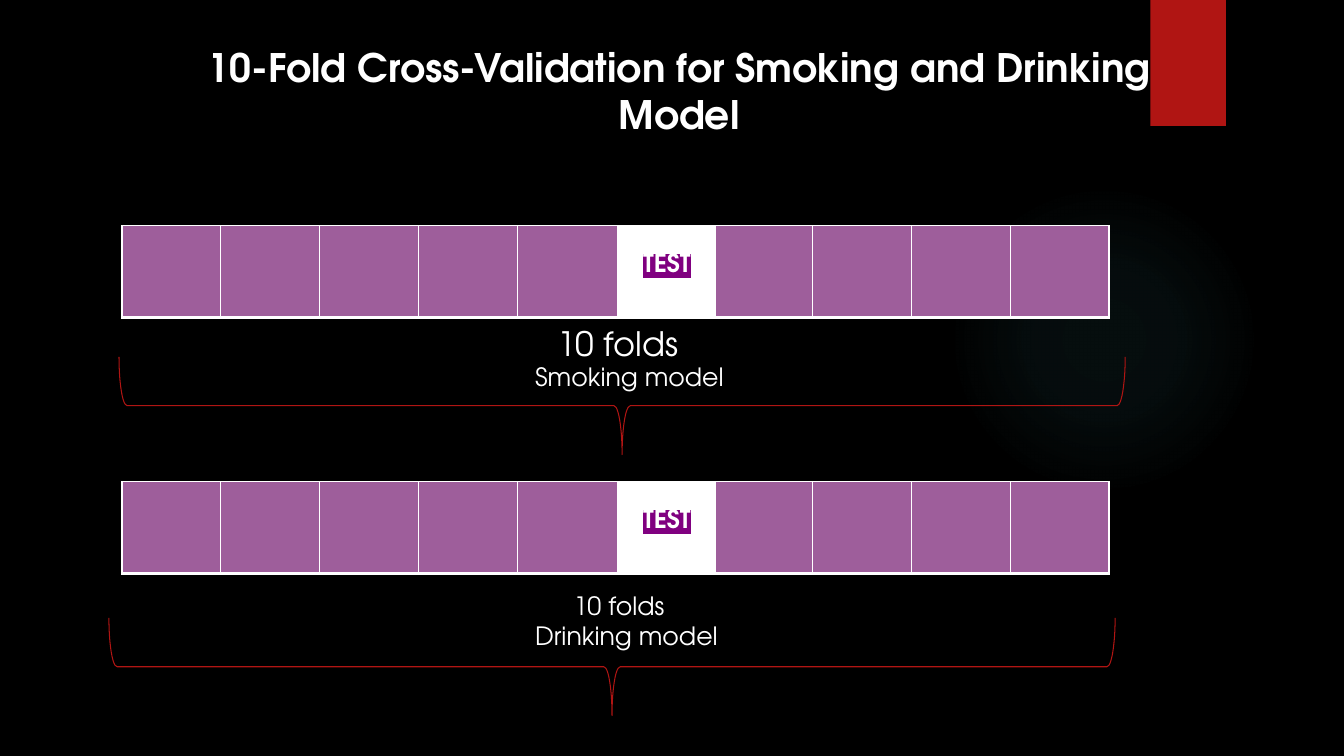
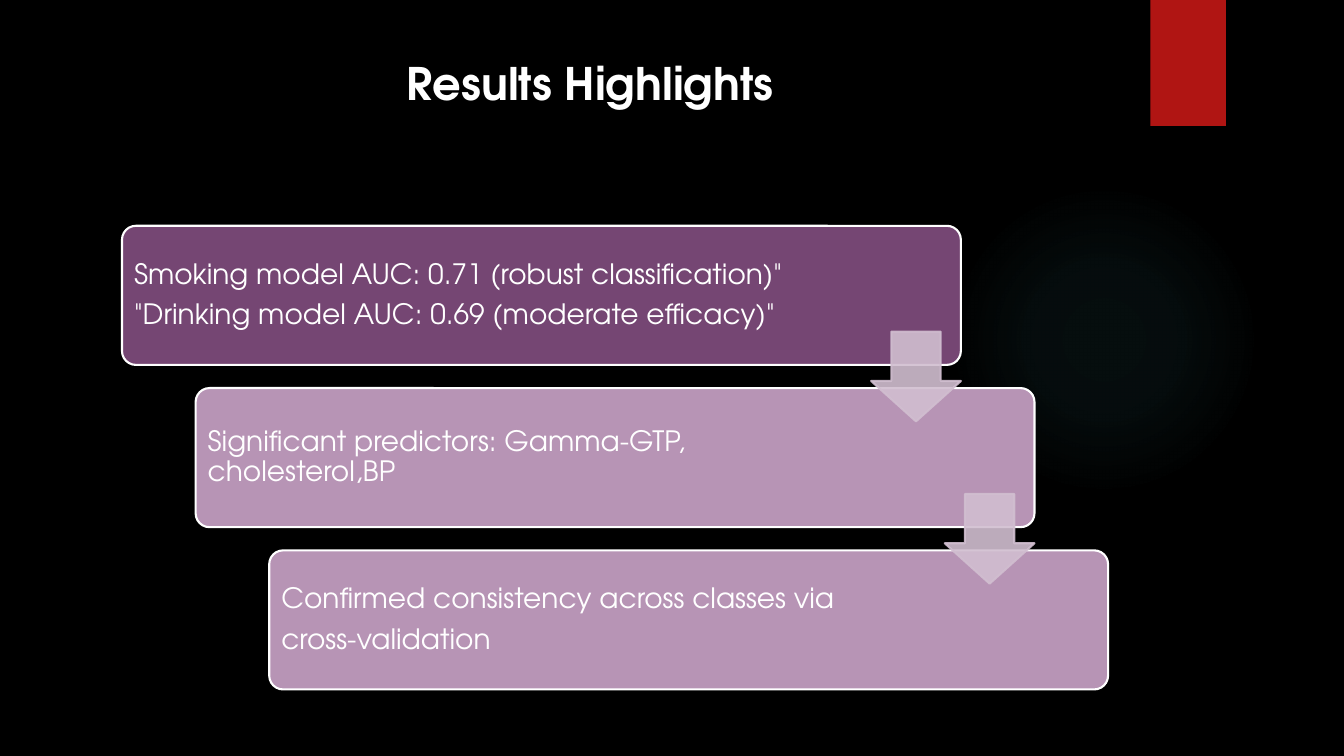
from lxml import etree
from pptx import Presentation
from pptx import util as u
from pptx.dml import color
from pptx.enum import shapes, text
from pptx.oxml import ns

FONT = "TeX Gyre Adventor"
WHITE, BLACK, RED, GLOW = "FFFFFF", "000000", "B01513", "50B9C1"
FOLD, HIGHLIGHT = "9E5E9B", "800080"
DARK_STEP, LIGHT_STEP, ARROW = "754673", "B794B5", "D1BED0"
FOLD_WIDTHS = [0.98] * 4 + [1, 0.97, 0.96] + [0.98] * 3
TEST_FOLD = 5
STEPS = [
    (DARK_STEP, ['Smoking model AUC: 0.71 (robust classification)"',
                 '"Drinking model AUC: 0.69 (moderate efficacy)"']),
    (LIGHT_STEP, ["Significant predictors: Gamma-GTP, cholesterol,BP"]),
    (LIGHT_STEP, ["Confirmed consistency across classes via", "cross-validation"]),
]


def rgb(value):
    """Return the colour for a hex string."""
    return color.RGBColor.from_string(value)


def add_xml(parent, tag, **attributes):
    """Append a drawing element to a parent and return it."""
    return etree.SubElement(parent, ns.qn(tag), attributes)


def add_colour(parent, value, alpha=100):
    """Append a hex colour with an opacity in percent."""
    colour = add_xml(parent, "a:srgbClr", val=value)
    if alpha < 100:
        add_xml(colour, "a:alpha", val=str(alpha * 1000))


def style_font(paragraph, size, bold=False):
    """Set the shared white typeface on a paragraph."""
    font = paragraph.font
    font.name, font.size, font.bold = FONT, u.Pt(size), bold
    font.color.rgb = rgb(WHITE)


def add_shape(slide, kind, left, top, width, height, fill=None, line=None, weight=1.5):
    """Add a preset shape without a shadow."""
    shape = slide.shapes.add_shape(kind, *map(u.Inches, (left, top, width, height)))
    shape.shadow.inherit = False
    if fill:
        shape.fill.solid()
        shape.fill.fore_color.rgb = rgb(fill)
    else:
        shape.fill.background()
    if line:
        shape.line.color.rgb = rgb(line)
        shape.line.width = u.Pt(weight)
    else:
        shape.line.fill.background()
    return shape


def add_text(slide, left, top, width, height, words, size, bold=False):
    """Add a wrapped one-paragraph text box and return the paragraph."""
    box = slide.shapes.add_textbox(*map(u.Inches, (left, top, width, height)))
    box.text_frame.word_wrap = True
    paragraph = box.text_frame.paragraphs[0]
    paragraph.text = words
    style_font(paragraph, size, bold)
    return paragraph


def add_glow(slide, left, top, size):
    """Add a faint radial glow."""
    glow = add_shape(slide, shapes.MSO_SHAPE.OVAL, left, top, size, size)
    gradient = etree.Element(ns.qn("a:gradFill"), rotWithShape="1")
    stops = add_xml(gradient, "a:gsLst")
    for position, alpha in ((0, 7), (36, 6), (69, 0), (100, 0)):
        add_colour(add_xml(stops, "a:gs", pos=str(position * 1000)), GLOW, alpha)
    circle = add_xml(gradient, "a:path", path="circle")
    add_xml(circle, "a:fillToRect", l="50000", t="50000", r="50000", b="50000")
    properties = glow.element.spPr
    properties.replace(properties.find(ns.qn("a:noFill")), gradient)


def new_slide(presentation, title, left, top, size):
    """Add a black slide with the glow, the red tab and a centred title."""
    slide = presentation.slides.add_slide(presentation.slide_layouts[6])
    slide.background.fill.solid()
    slide.background.fill.fore_color.rgb = rgb(BLACK)
    add_glow(slide, 9.41, 1.83, 3.08)
    add_shape(slide, shapes.MSO_SHAPE.RECTANGLE, 11.41, 0, 0.75, 1.25, RED)
    paragraph = add_text(slide, left, top, 10.29, 1.53, title, size, True)
    paragraph.alignment = text.PP_ALIGN.CENTER
    return slide


def style_cell(cell, fill):
    """Give a cell white borders, heavier below, and a fill."""
    properties = cell._tc.get_or_add_tcPr()
    for side, weight in (("L", 1), ("R", 1), ("T", 1), ("B", 3)):
        border = add_xml(properties, f"a:ln{side}", w=str(u.Pt(weight)))
        add_colour(add_xml(border, "a:solidFill"), WHITE)
    cell.fill.solid()
    cell.fill.fore_color.rgb = rgb(fill)


def add_fold_row(slide, left, top):
    """Add the row of ten folds with one test fold."""
    frame = slide.shapes.add_table(
        1, len(FOLD_WIDTHS), *map(u.Inches, (left, top, sum(FOLD_WIDTHS), 0.91)))
    table = frame.table
    table.first_row = table.horz_banding = False
    for index, width in enumerate(FOLD_WIDTHS):
        table.columns[index].width = u.Inches(width)
        style_cell(table.cell(0, index), WHITE if index == TEST_FOLD else FOLD)
    paragraph = table.cell(0, TEST_FOLD).text_frame.paragraphs[0]
    paragraph.alignment = text.PP_ALIGN.CENTER
    paragraph.line_spacing = 2.0
    run = paragraph.add_run()
    run.text = "TEST"
    style_font(run, 18, True)
    highlight = etree.Element(ns.qn("a:highlight"))
    add_colour(highlight, HIGHLIGHT)
    run.font.fill._xPr.find(ns.qn("a:solidFill")).addnext(highlight)


def add_brace(slide, left, top, width, height):
    """Add a downward brace that fills the given box."""
    shift = (width - height) / 2
    brace = add_shape(slide, shapes.MSO_SHAPE.RIGHT_BRACE, left + shift, top - shift,
                      height, width, line=RED, weight=0.75)
    brace.rotation = 90


def add_model(slide, left, top, name, count_at, count_size, name_drop, brace_at):
    """Add one model: its folds, two labels and brace, offset from a corner."""
    add_fold_row(slide, left, top)
    add_text(slide, left + count_at[0], top + count_at[1], 2.4, 0.4, "10 folds", count_size)
    add_text(slide, left + 4, top + name_drop, 4.8, 0.4, name, 18)
    add_brace(slide, left + brace_at[0], top + brace_at[1], 9.98, 0.97)


def add_steps(slide, left, top, width, height, shift, pitch):
    """Add the staircase of result boxes joined by arrows."""
    for index, (fill, lines) in enumerate(STEPS):
        box = add_shape(slide, shapes.MSO_SHAPE.ROUNDED_RECTANGLE, left + index * shift,
                        top + index * pitch, width, height, fill, WHITE)
        box.adjustments[0] = 0.1
        frame = box.text_frame
        frame.word_wrap = True
        frame.vertical_anchor = text.MSO_ANCHOR.MIDDLE
        frame.margin_left = frame.margin_top = frame.margin_bottom = u.Inches(0.08)
        frame.margin_right = u.Inches(1.66)
        for number, line in enumerate(lines):
            paragraph = frame.add_paragraph() if number else frame.paragraphs[0]
            paragraph.text = line
            paragraph.alignment = text.PP_ALIGN.LEFT
            paragraph.line_spacing = 0.9
            paragraph.space_after = u.Pt(7)
            style_font(paragraph, 20)
    side = 0.89
    for index in range(len(STEPS) - 1):
        arrow = add_shape(slide, shapes.MSO_SHAPE.DOWN_ARROW,
                          left + width - side + index * shift,
                          top + 1.05 + index * pitch, side, side, ARROW, ARROW)
        arrow.adjustments[0], arrow.adjustments[1] = 0.55, 0.45
        for colour in arrow.element.spPr.iter(ns.qn("a:srgbClr")):
            add_xml(colour, "a:alpha", val="90000")


def build_folds(presentation):
    """Build the cross-validation slide."""
    slide = new_slide(presentation, "10-Fold Cross-Validation for Smoking and Drinking Model",
                      1.59, 0.38, 28)
    add_model(slide, 1.21, 2.24, "Smoking model", (4.22, 0.91), 24, 1.3, (-0.03, 1.3))
    add_model(slide, 1.21, 4.78, "Drinking model", (4.38, 1.03), 18, 1.32, (-0.13, 1.35))


def build_results(presentation):
    """Build the results slide."""
    slide = new_slide(presentation, "Results Highlights", 0.71, 0.5, 32)
    add_steps(slide, 1.21, 2.24, 8.32, 1.38, 0.73, 1.61)


def main():
    """Build and save the presentation."""
    presentation = Presentation()
    presentation.slide_width, presentation.slide_height = u.Inches(13.33), u.Inches(7.5)
    build_folds(presentation)
    build_results(presentation)
    presentation.save("out.pptx")


if __name__ == "__main__":
    main()
